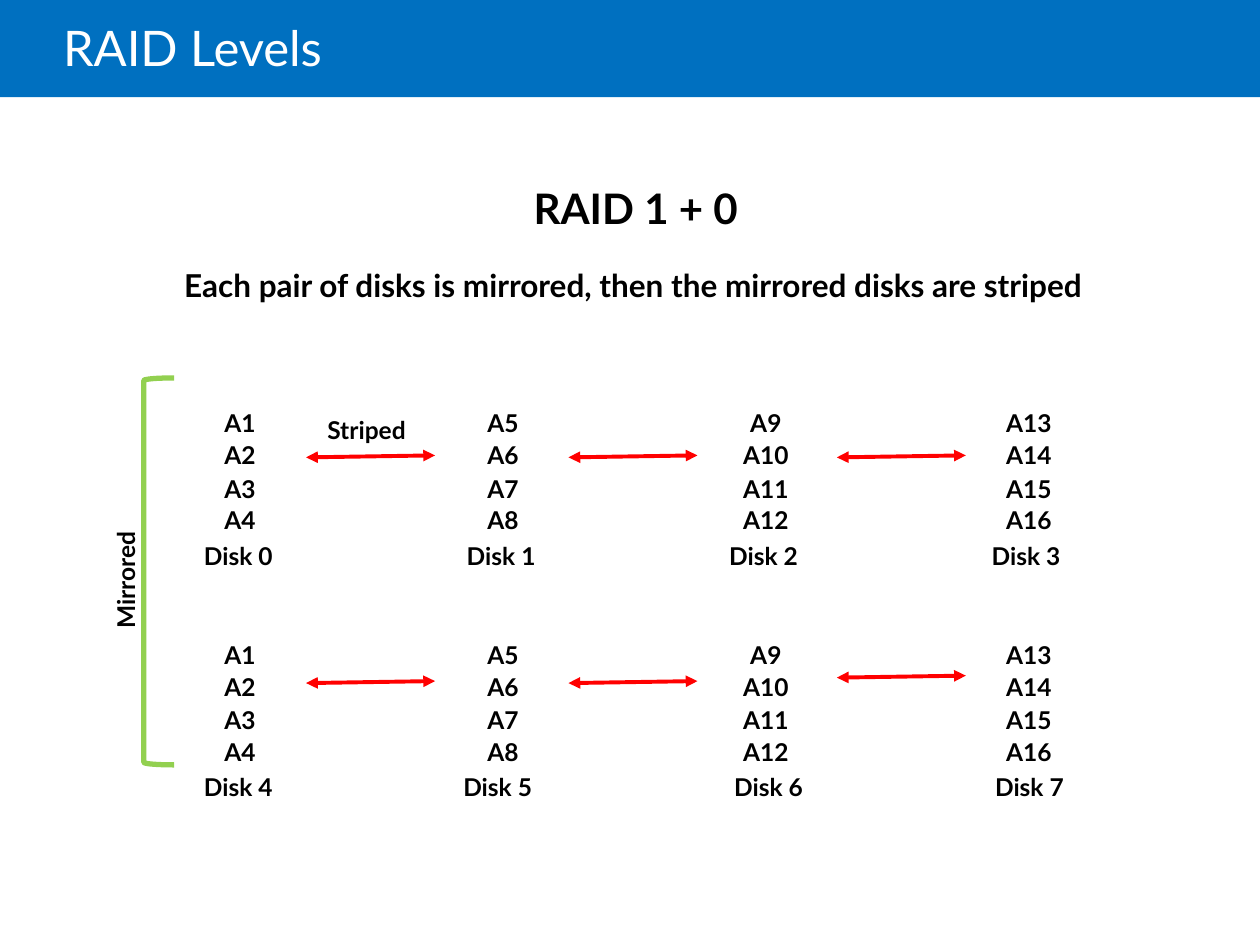
from lxml import etree
from pptx import Presentation
from pptx.dml.color import RGBColor
from pptx.enum.shapes import MSO_CONNECTOR, MSO_SHAPE
from pptx.enum.text import MSO_ANCHOR, MSO_AUTO_SIZE, PP_ALIGN
from pptx.oxml.ns import qn
from pptx.util import Cm, Pt

RECT, ROUND = MSO_SHAPE.RECTANGLE, MSO_SHAPE.ROUNDED_RECTANGLE
BRACKET = MSO_SHAPE.LEFT_BRACKET
LINE = MSO_CONNECTOR.STRAIGHT
LEFT, CENTER = PP_ALIGN.LEFT, PP_ALIGN.CENTER
TOP, MIDDLE = MSO_ANCHOR.TOP, MSO_ANCHOR.MIDDLE
NO_FIT = MSO_AUTO_SIZE.NONE

BLUE, RED, GREEN = "0070C0", "FF0000", "92D050"
BLACK, WHITE = "000000", "FFFFFF"
FONT = "Lato"
INSETS = (0.25, 0.13, 0.25, 0.13)
NONE = (0, 0, 0, 0)

# Disk grid, in cm
MID, STEP = 4.84, 5.3
TIERS = (8.23, 12.9)
OFFSETS = (0, 0.64, 1.32, 1.95)
NAMES = ((3.86, 9.16, 14.45, 19.74), (3.86, 9.09, 14.55, 19.81))
ARROWS = (6.17, 11.46, 16.87)
LEVELS = ((9.22, 9.22, 9.22), (13.77, 13.77, 13.66))


def color(code):
    return RGBColor.from_string(code)


def box(*lengths):
    return [Cm(x) for x in lengths]


def apply(item, values):
    for key, value in values.items():
        setattr(item, key, value)


def write(shape, text, size=14, tint=BLACK, bold=True, align=LEFT,
          anchor=TOP, wrap=False, insets=INSETS, space=1.0):
    frame = shape.text_frame
    left, top, right, bottom = box(*insets)
    apply(frame, {"text": text, "auto_size": NO_FIT, "word_wrap": wrap,
                  "vertical_anchor": anchor, "margin_left": left,
                  "margin_top": top, "margin_right": right,
                  "margin_bottom": bottom})
    para = frame.paragraphs[0]
    apply(para, {"alignment": align, "line_spacing": space})
    font = para.runs[0].font
    apply(font, {"name": FONT, "size": Pt(size), "bold": bold})
    font.color.rgb = color(tint)


def label(slide, place, text, **style):
    shape = slide.shapes.add_textbox(*box(*place))
    write(shape, text, **style)
    return shape


def plain(slide, kind, place, fill=None, line=None, width=1):
    shape = slide.shapes.add_shape(kind, *box(*place))
    shape.shadow.inherit = False
    if fill:
        shape.fill.solid()
        shape.fill.fore_color.rgb = color(fill)
    else:
        shape.fill.background()
    if line:
        shape.line.color.rgb = color(line)
        shape.line.width = Pt(width)
    else:
        shape.line.fill.background()
    return shape


def arrow(slide, left, top):
    link = slide.shapes.add_connector(
        LINE, *box(left, top, left + 2.6, top - 0.04))
    link.line.color.rgb = color(RED)
    link.line.width = Pt(2.25)
    pen = link.line._get_or_add_ln()
    for end in ("a:headEnd", "a:tailEnd"):
        etree.SubElement(pen, qn(end)).set("type", "triangle")
    etree.SubElement(link._element.spPr, qn("a:effectLst"))


def header(slide):
    bar = plain(slide, RECT, (0, 0, 25.4, 1.96), fill=BLUE)
    slide.shapes._spTree.insert(2, bar._element)  # behind the title
    title = slide.shapes.title
    left, top, width, height = box(1.27, 0, 21.59, 2.06)
    apply(title, {"left": left, "top": top, "width": width, "height": height})
    write(title, "RAID Levels", size=28, tint=WHITE, bold=False, wrap=True,
          anchor=MIDDLE, insets=(0, 0.13, 0.25, 0.13), space=0.85)


def disk(slide, tier, col):
    top = TIERS[tier]
    for row, shift in enumerate(OFFSETS):
        label(slide, (MID + col * STEP - 0.64, top + shift, 1.28, 0.61),
              f"A{col * 4 + row + 1}", align=CENTER, wrap=True, insets=NONE)
    label(slide, (NAMES[tier][col], top + 2.54, 1.96, 0.86),
          f"Disk {tier * 4 + col}")


def main():
    deck = Presentation()
    deck.slide_width, deck.slide_height = Cm(25.4), Cm(19.05)
    slide = deck.slides.add_slide(deck.slide_layouts[5])
    header(slide)

    # Heading and summary
    head = plain(slide, ROUND, (9.32, 3.73, 6.99, 0.91))
    head.adjustments[0] = 0.04
    write(head, "RAID 1 + 0", size=24, align=CENTER, anchor=MIDDLE)
    label(slide, (1.6, 5.23, 22.33, 1.12),
          "Each pair of disks is mirrored, then the mirrored disks are striped",
          size=18, align=CENTER, anchor=MIDDLE, wrap=True, space=0.9)

    # Disks and the stripes between them
    for tier, tops in enumerate(LEVELS):
        for col in range(4):
            disk(slide, tier, col)
        for left, top in zip(ARROWS, tops):
            arrow(slide, left, top)
    label(slide, (6.35, 8.23, 2.21, 0.86), "Striped")

    # Mirror bracket
    plain(slide, BRACKET, (2.9, 7.62, 0.61, 7.8), line=GREEN, width=3)
    side = label(slide, (1.22, 11.18, 2.62, 0.86), "Mirrored")
    side.rotation = 270

    deck.save("out.pptx")


if __name__ == "__main__":
    main()
